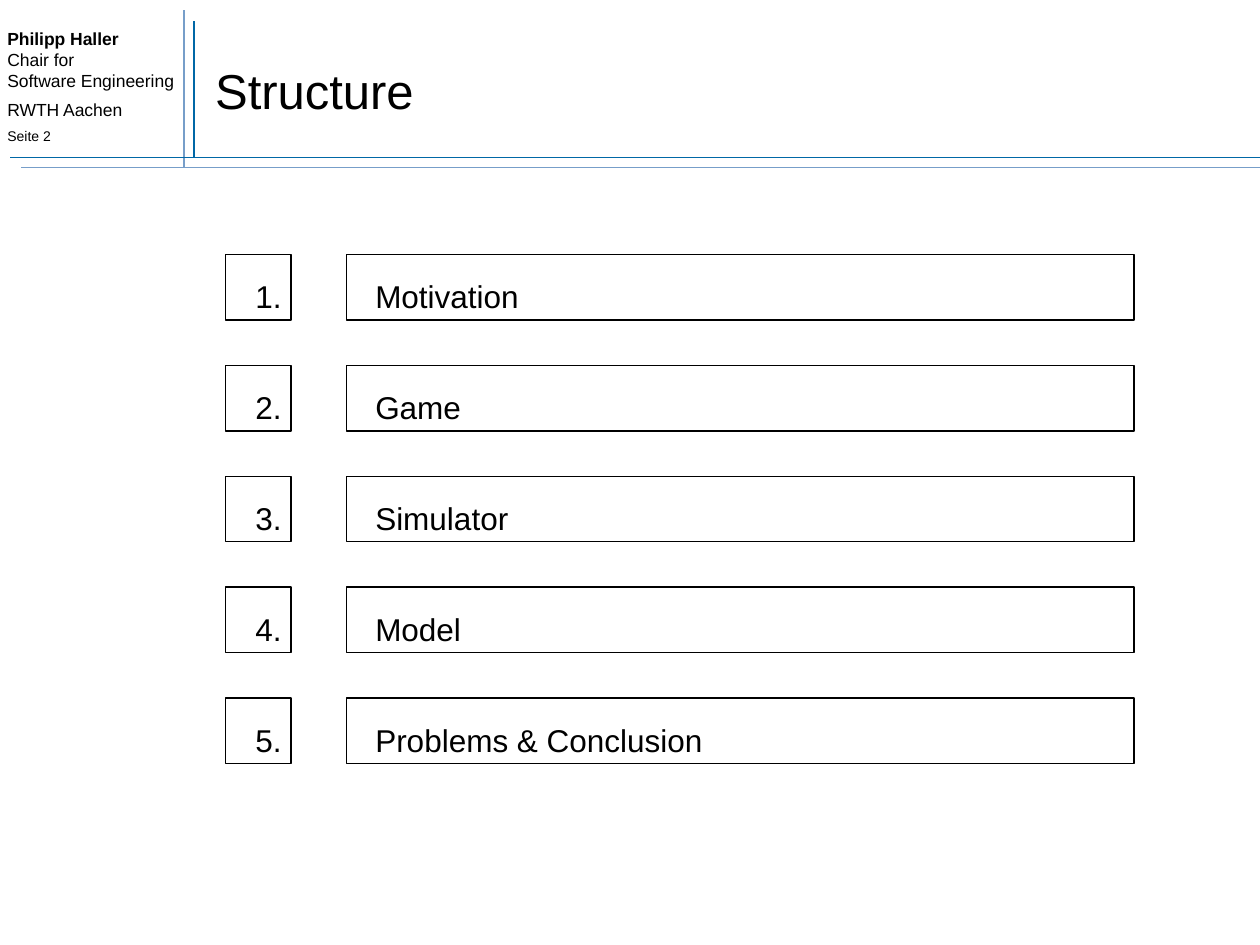
from dataclasses import dataclass
from typing import NamedTuple

from lxml.etree import SubElement
from pptx import Presentation
from pptx.dml.color import RGBColor
from pptx.enum.shapes import MSO_CONNECTOR as Connector, MSO_SHAPE as Shape
from pptx.enum.text import MSO_ANCHOR as Anchor, PP_ALIGN as Align
from pptx.oxml.ns import qn
from pptx.util import Inches, Pt


@dataclass(frozen=True)
class Theme:
    font: str = "Arial"
    black: RGBColor = RGBColor(0x00, 0x00, 0x00)
    dark_blue: RGBColor = RGBColor(0x00, 0x67, 0xA6)
    light_blue: RGBColor = RGBColor(0x77, 0x9E, 0xC9)
    title_size: int = 28
    item_size: int = 18
    header_size: int = 10
    page_size: int = 8
    rule_width: float = 1
    box_width: float = 0.75


class Rule(NamedTuple):
    x1: float
    y1: float
    x2: float
    y2: float
    color: RGBColor


class HeaderLine(NamedTuple):
    text: str
    size: int
    space_before: float = 0
    bold: bool = False
    same_paragraph: bool = False


class Column(NamedTuple):
    left: float
    width: float
    text_shift: float
    align: Align


THEME = Theme()
RULES = [
    Rule(1.54, 1.25, 1.54, 0.17, THEME.dark_blue),
    Rule(1.46, 1.33, 1.46, 0.08, THEME.light_blue),
    Rule(0.08, 1.25, 10, 1.25, THEME.dark_blue),
    Rule(0.17, 1.33, 10, 1.33, THEME.light_blue),
]
HEADER = [
    HeaderLine("Philipp Haller", THEME.header_size, bold=True),
    HeaderLine("Chair for", THEME.header_size, same_paragraph=True),
    HeaderLine("Software Engineering", THEME.header_size),
    HeaderLine("RWTH Aachen", THEME.header_size, space_before=5),
    HeaderLine("Seite 2", THEME.page_size, space_before=4),
]
TOPICS = ["Motivation", "Game", "Simulator", "Model", "Problems & Conclusion"]
TOPIC_COLUMN = Column(2.75, 6.25, 0.13, Align.LEFT)
NUMBER_COLUMN = Column(1.79, 0.52, 0.08, Align.CENTER)
FIRST_TOP, ROW_STEP, ROW_HEIGHT, TEXT_DROP = 2.02, 0.88, 0.52, 0.07


def add_run(paragraph, text: str, size: int, bold: bool = False) -> None:
    run = paragraph.add_run()
    run.text = text
    run.font.name = THEME.font
    run.font.size = Pt(size)
    run.font.bold = bold
    run.font.color.rgb = THEME.black


def add_text_frame(shapes, left: float, top: float, width: float, height: float,
                   anchor: Anchor = Anchor.MIDDLE, wrap: bool = True):
    box = shapes.add_textbox(Inches(left), Inches(top), Inches(width), Inches(height))
    frame = box.text_frame
    frame.word_wrap = wrap
    frame.vertical_anchor = anchor
    return frame


def add_rule(slide, rule: Rule) -> None:
    line = slide.shapes.add_connector(
        Connector.STRAIGHT, Inches(rule.x1), Inches(rule.y1), Inches(rule.x2), Inches(rule.y2))
    line.line.color.rgb = rule.color
    line.line.width = Pt(THEME.rule_width)
    SubElement(line._element.spPr, qn("a:effectLst"))


def add_header(slide) -> None:
    frame = add_text_frame(slide.shapes, -0.04, 0.17, 1.53, 1.06, Anchor.TOP, wrap=False)
    paragraph = frame.paragraphs[0]
    for index, line in enumerate(HEADER):
        if line.same_paragraph:
            paragraph.add_line_break()
        elif index:
            paragraph = frame.add_paragraph()
            paragraph.space_before = Pt(line.space_before)
        add_run(paragraph, line.text, line.size, line.bold)


def add_cell(shapes, column: Column, top: float, text: str) -> None:
    box = shapes.add_shape(Shape.RECTANGLE, Inches(column.left), Inches(top),
                           Inches(column.width), Inches(ROW_HEIGHT))
    box.shadow.inherit = False
    box.fill.background()
    box.line.color.rgb = THEME.black
    box.line.width = Pt(THEME.box_width)
    frame = add_text_frame(shapes, column.left + column.text_shift, top + TEXT_DROP,
                           column.width, ROW_HEIGHT)
    frame.paragraphs[0].alignment = column.align
    add_run(frame.paragraphs[0], text, THEME.item_size)


def add_topic(slide, index: int, topic: str) -> None:
    group = slide.shapes.add_group_shape()
    top = FIRST_TOP + index * ROW_STEP
    add_cell(group.shapes, TOPIC_COLUMN, top, topic)
    add_cell(group.shapes, NUMBER_COLUMN, top, f"{index + 1}.")


def main() -> None:
    presentation = Presentation()
    presentation.slide_width = Inches(10)
    presentation.slide_height = Inches(7.5)
    slide = presentation.slides.add_slide(presentation.slide_layouts[6])
    add_header(slide)
    for rule in RULES:
        add_rule(slide, rule)
    title = add_text_frame(slide.shapes, 1.61, 0.25, 8.27, 0.92)
    add_run(title.paragraphs[0], "Structure", THEME.title_size)
    for index, topic in enumerate(TOPICS):
        add_topic(slide, index, topic)
    presentation.save("out.pptx")


main()
